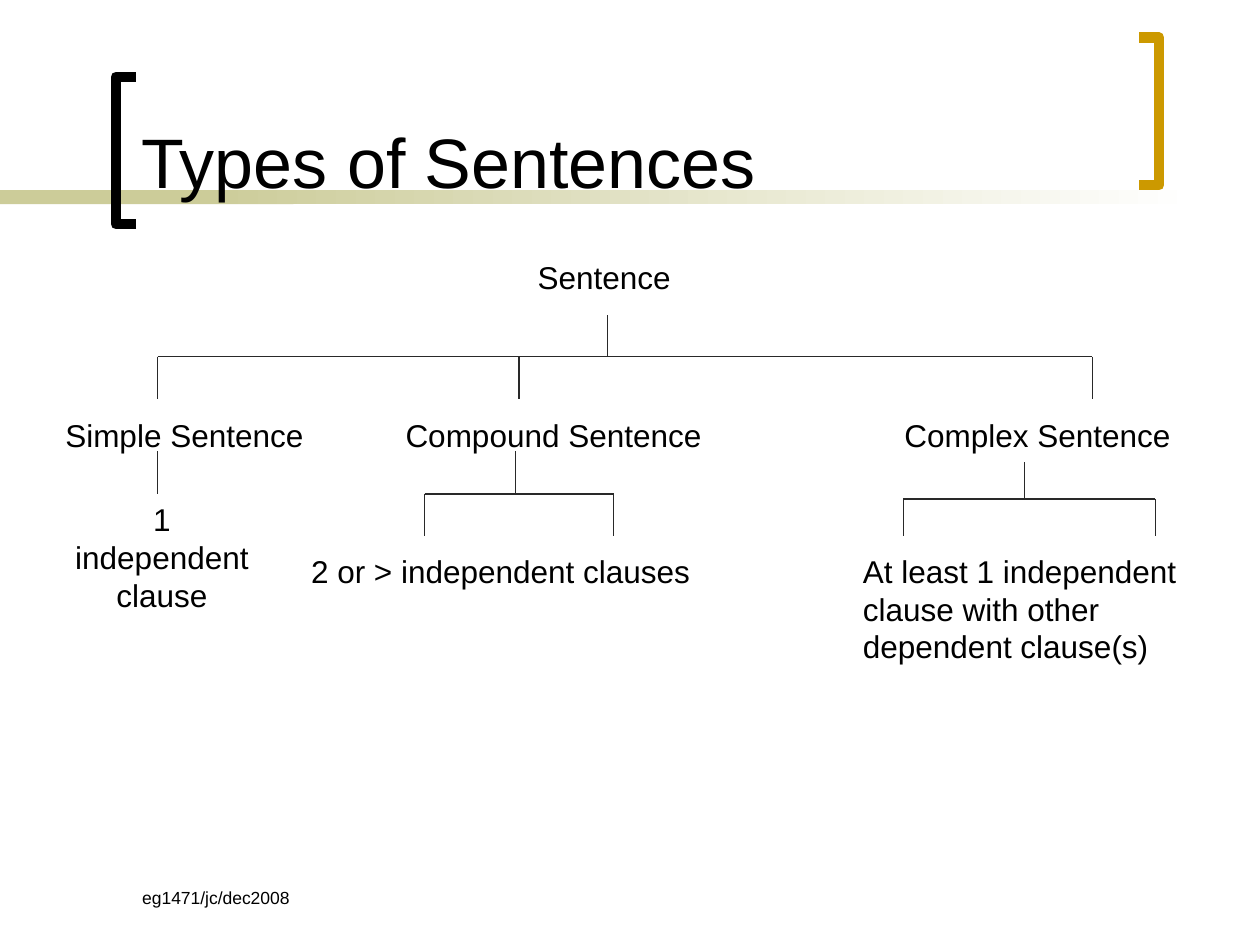
"""Build a slide that shows the types of sentences as a tree."""
from lxml import etree
from pptx import Presentation
from pptx.dml.color import RGBColor
from pptx.enum.shapes import MSO_CONNECTOR, MSO_SHAPE
from pptx.enum.text import MSO_ANCHOR, MSO_AUTO_SIZE, PP_ALIGN
from pptx.oxml.ns import qn
from pptx.util import Inches, Pt

STRAIGHT = MSO_CONNECTOR.STRAIGHT
RECT = MSO_SHAPE.RECTANGLE
LEFT, CENTER = PP_ALIGN.LEFT, PP_ALIGN.CENTER
BOTTOM, TOP = MSO_ANCHOR.BOTTOM, MSO_ANCHOR.TOP
FIXED = MSO_AUTO_SIZE.NONE
FONT = "Arial"
COLORS = {"text": "000000", "line": "292929", "sand": "CCCC99",
          "white": "FFFFFF", "gold": "CC9900"}


def rgb(name):
    """Return a named colour."""
    return RGBColor.from_string(COLORS[name])


def write(frame, text, size, align=LEFT):
    """Put one formatted run in a text frame."""
    para = frame.paragraphs[0]
    para.alignment = align
    run = para.add_run()
    run.text = text
    run.font.name = FONT
    run.font.size = Pt(size)
    run.font.color.rgb = rgb("text")


def add_label(slide, text, box, size=18, align=LEFT, wrap=True):
    """Add a text box and return its frame."""
    frame = slide.shapes.add_textbox(*map(Inches, box)).text_frame
    frame.word_wrap = wrap
    frame.vertical_anchor = TOP
    write(frame, text, size, align)
    return frame


def add_line(shapes, x1, y1, x2, y2):
    """Add a thin straight line."""
    line = shapes.add_connector(STRAIGHT, *map(Inches, (x1, y1, x2, y2)))
    line.line.color.rgb = rgb("line")
    line.line.width = Pt(0.75)
    etree.SubElement(line.element.spPr, qn("a:effectLst"))


def add_fork(slide, stem, left, right, top, bar, foot):
    """Add a grouped stem, bar and two legs."""
    group = slide.shapes.add_group_shape().shapes
    add_line(group, stem, top, stem, bar)
    add_line(group, left, bar, right, bar)
    for x in (left, right):
        add_line(group, x, bar, x, foot)


def add_band(slide, left, width, fade=False):
    """Add a part of the band under the title."""
    band = slide.shapes.add_shape(
        RECT, *map(Inches, (left, 1.51, width, 0.11)))
    band.shadow.inherit = False
    band.line.fill.background()
    if fade:
        band.fill.gradient()
        band.fill.gradient_angle = 0
        for stop, name in zip(band.fill.gradient_stops, ("sand", "white")):
            stop.color.rgb = rgb(name)
    else:
        band.fill.solid()
        band.fill.fore_color.rgb = rgb("sand")


def add_bracket(slide, tip, spine, top, color):
    """Add an open square bracket."""
    foot = top + 1.17
    points = [(tip, foot), (spine, foot), (spine, top), (tip, top)]
    points = [(Inches(x), Inches(y)) for x, y in points]
    path = slide.shapes.build_freeform(*points[0])
    path.add_line_segments(points[1:], close=False)
    shape = path.convert_to_shape()
    shape.shadow.inherit = False
    shape.fill.background()
    shape.line.color.rgb = rgb(color)
    shape.line.width = Pt(6)


def set_title(slide, text):
    """Place the title in front of the band."""
    title = slide.shapes.title
    title.left, title.top, title.width, title.height = map(
        Inches, (1.02, 0.11, 7.83, 1.55))
    title.text_frame.auto_size = FIXED
    title.text_frame.vertical_anchor = BOTTOM
    write(title.text_frame, text, 40)
    title.element.getparent().append(title.element)


def main():
    """Build and save the slide."""
    deck = Presentation()
    deck.slide_width, deck.slide_height = Inches(10), Inches(7.5)
    slide = deck.slides.add_slide(deck.slide_layouts[5])

    add_band(slide, 0, 2.33)
    add_band(slide, 1.58, 7.92, fade=True)
    add_bracket(slide, 1.08, 0.92, 0.61, "text")
    add_bracket(slide, 9.04, 9.2, 0.3, "gold")
    set_title(slide, "Types of Sentences")
    foot = add_label(slide, "eg1471/jc/dec2008", (1.03, 6.83, 2.08, 0.5), 10)
    foot.margin_top = Inches(0.21)

    add_label(slide, "Sentence", (2.67, 2, 4.25, 0.4), align=CENTER)
    add_label(slide, "Simple Sentence", (0.42, 3.25, 2.17, 0.4))
    add_label(slide, "Compound Sentence", (3.12, 3.25, 2.55, 0.4), wrap=False)
    add_label(slide, "Complex Sentence", (7.08, 3.25, 2.92, 0.4))
    add_label(slide, "1 independent clause", (0.42, 3.92, 1.73, 1),
              align=CENTER)
    add_label(slide, "2 or > independent clauses", (2.37, 4.33, 3.21, 0.4),
              wrap=False)
    add_label(slide, "At least 1 independent clause with other "
              "dependent clause(s)", (6.75, 4.33, 3.08, 1))

    add_fork(slide, 4.82, 1.25, 8.67, 2.5, 2.83, 3.17)
    add_fork(slide, 4.09, 3.37, 4.87, 3.58, 3.92, 4.25)
    add_fork(slide, 8.13, 7.17, 9.17, 3.67, 3.96, 4.25)
    add_line(slide.shapes, 4.12, 2.83, 4.12, 3.17)
    add_line(slide.shapes, 1.25, 3.58, 1.25, 3.92)
    deck.save("out.pptx")


if __name__ == "__main__":
    main()
